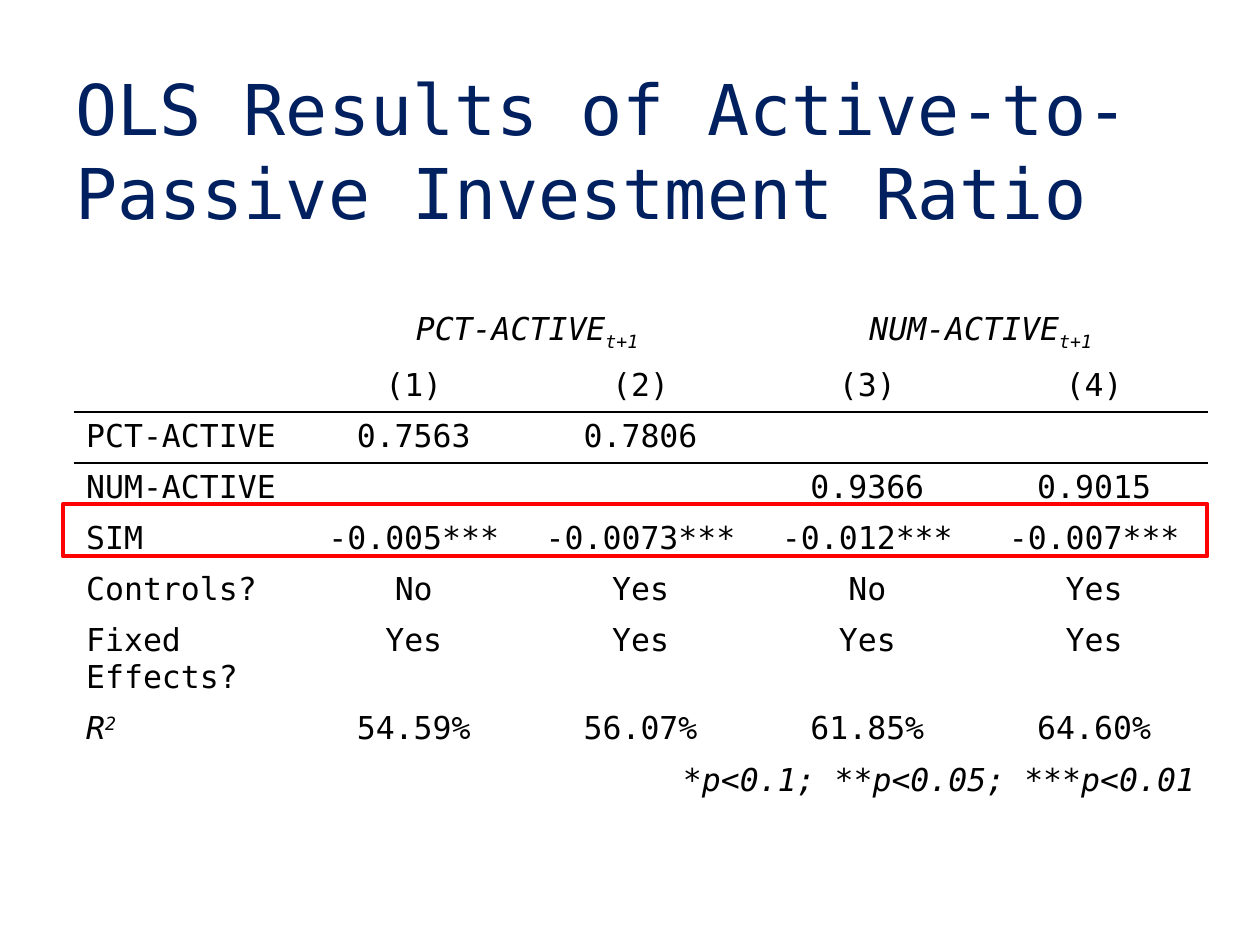
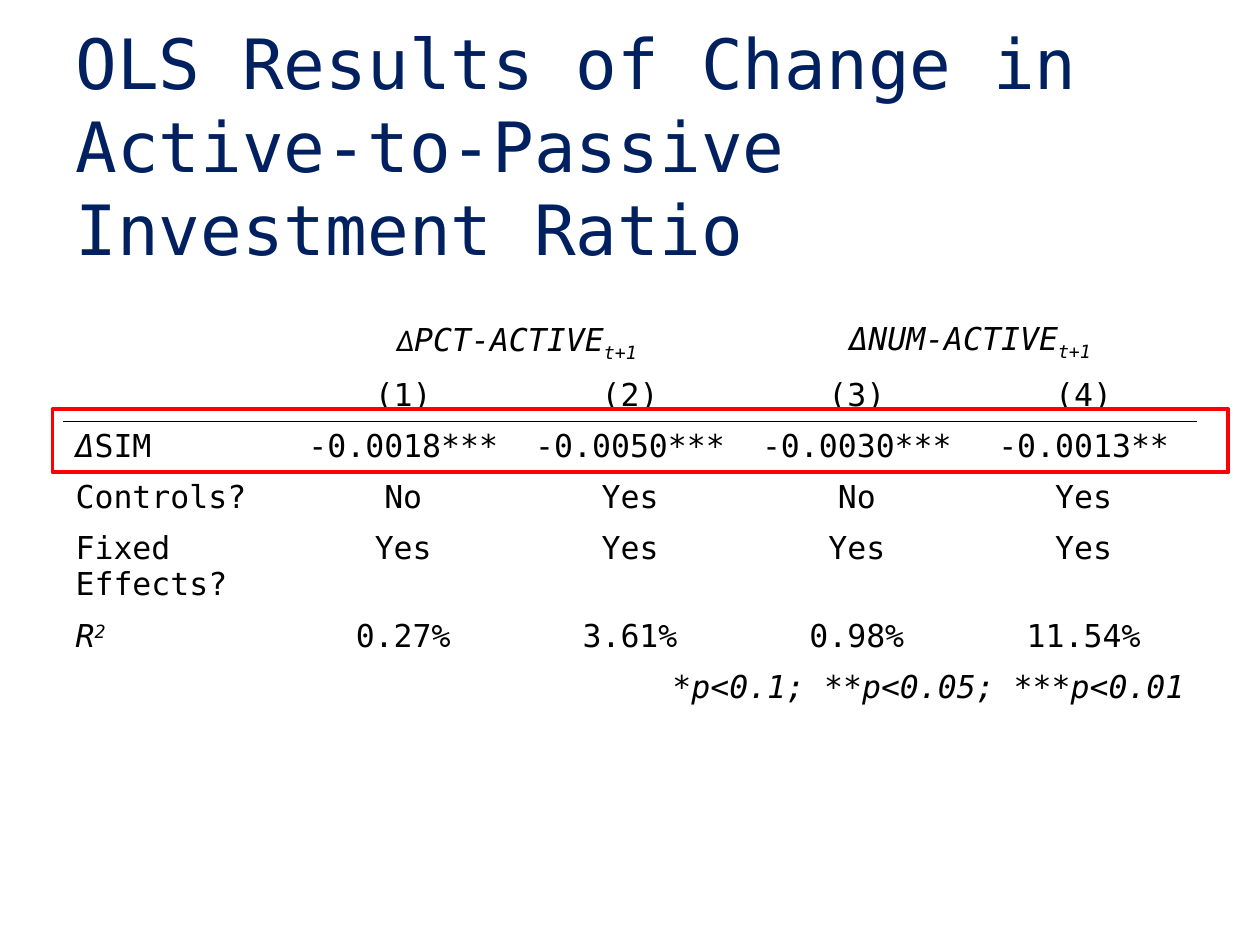
from lxml.etree import SubElement
from pptx import Presentation
from pptx.dml.color import RGBColor
from pptx.enum.shapes import MSO_SHAPE
from pptx.enum.text import MSO_ANCHOR, PP_ALIGN
from pptx.oxml.ns import qn
from pptx.util import Pt

NAVY = RGBColor(0x00, 0x20, 0x60)
BLACK = RGBColor(0x00, 0x00, 0x00)
RED = RGBColor(0xFF, 0x00, 0x00)
MONO = "DejaVu Sans Mono"
PLAIN = "{2D5ABB26-0587-4C30-8999-92F81FD0307C}"  # no style, no grid
COL, ROW = 129.6, 29.2
SUB, SUP = -25000, 30000


def add_run(para, text, size, color, italic=False, base=0, face=MONO):
    run = para.add_run()
    run.text = text
    font = run.font
    font.name, font.size, font.italic = face, Pt(size), italic
    font.color.rgb = color
    if base:
        font._element.set("baseline", str(base))


def rule_below(cell):
    line = SubElement(cell._tc.get_or_add_tcPr(), qn("a:lnB"), w=str(Pt(1)))
    fill = SubElement(line, qn("a:solidFill"))
    SubElement(fill, qn("a:srgbClr"), val=str(BLACK))


# A cell is a plain string or a list of runs: text, italic, baseline, face
lag = ("t+1", True, SUB)
heads = ["", "(1)", "(2)", "(3)", "(4)"]
checks = [["Controls?", "No", "Yes", "No", "Yes"],
          ["Fixed Effects?"] + ["Yes"] * 4]
square = [("R", True), ("2", True, SUP)]
note = [[("*p<0.1; **p<0.05; ***p<0.01", True)], "", "", "", ""]

levels = [
    ["", [("PCT-ACTIVE", True), lag], "", [("NUM-ACTIVE", True), lag], ""],
    heads,
    ["PCT-ACTIVE", "0.7563", "0.7806", "", ""],
    ["NUM-ACTIVE", "", "", "0.9366", "0.9015"],
    ["SIM", "-0.005***", "-0.0073***", "-0.012***", "-0.007***"],
    *checks,
    [square, "54.59%", "56.07%", "61.85%", "64.60%"],
    note,
]
changes = [
    ["", [("Δ", True, 0, "Calibri"), ("PCT-ACTIVE", True), lag], "",
     [("ΔNUM-ACTIVE", True), lag], ""],
    heads,
    [[("Δ", True), ("SIM",)],
     "-0.0018***", "-0.0050***", "-0.0030***", "-0.0013**"],
    *checks,
    [square, "0.27%", "3.61%", "0.98%", "11.54%"],
    note,
]

# Title, its size and height, table corner, rows, ruled rows, red frame
pages = [
    ("OLS Results of Active-to-Passive Investment Ratio", 40, 128,
     (42, 174.4), levels, (1, 2), (36, 288, 654, 30)),
    ("OLS Results of Change in Active-to-Passive Investment Ratio", 39.6, 122.4,
     (36, 180), changes, (1,), (30, 234, 672, 36)),
]

deck = Presentation()
deck.slide_width, deck.slide_height = Pt(720), Pt(540)

for title, size, high, corner, rows, ruled, frame in pages:
    slide = deck.slides.add_slide(deck.slide_layouts[6])

    # Title
    box = slide.shapes.add_textbox(Pt(36), Pt(21.6), Pt(648), Pt(high))
    text = box.text_frame
    text.word_wrap = True
    text.vertical_anchor = MSO_ANCHOR.MIDDLE
    add_run(text.paragraphs[0], title, size, NAVY)

    # Results table
    left, top = corner
    last = len(rows) - 1
    table = slide.shapes.add_table(
        len(rows), 5, Pt(left), Pt(top), Pt(5 * COL), Pt(len(rows) * ROW)).table
    table.first_row = table.horz_banding = False
    table._tbl.tblPr.find(qn("a:tableStyleId")).text = PLAIN
    for col in table.columns:
        col.width = Pt(COL)
    for r, row in enumerate(rows):
        table.rows[r].height = Pt(ROW)
        for c, runs in enumerate(row):
            cell = table.cell(r, c)
            if r in ruled:
                rule_below(cell)
            cell.fill.background()
            if not runs:
                continue
            para = cell.text_frame.paragraphs[0]
            if r == last:
                para.alignment = PP_ALIGN.RIGHT
            elif c:
                para.alignment = PP_ALIGN.CENTER
            if isinstance(runs, str):
                runs = [(runs,)]
            for words, *style in runs:
                add_run(para, words, 18, BLACK, *style)
    for c in (1, 3):
        table.cell(0, c).merge(table.cell(0, c + 1))
    table.cell(last, 0).merge(table.cell(last, 4))

    # Red frame around the similarity row
    mark = slide.shapes.add_shape(MSO_SHAPE.RECTANGLE, *map(Pt, frame))
    mark.shadow.inherit = False
    mark.fill.background()
    mark.line.color.rgb = RED
    mark.line.width = Pt(2.25)

deck.save("out.pptx")
